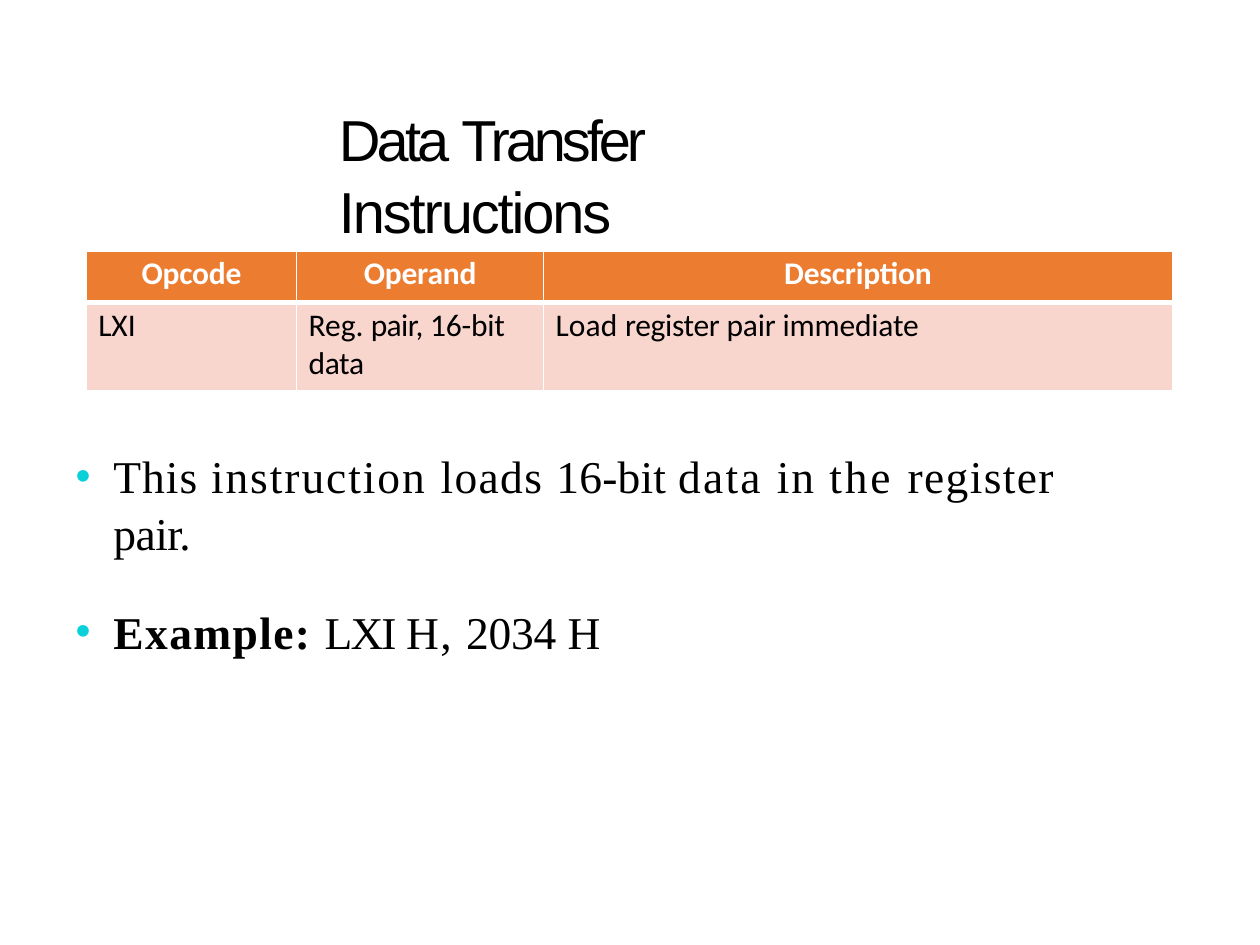
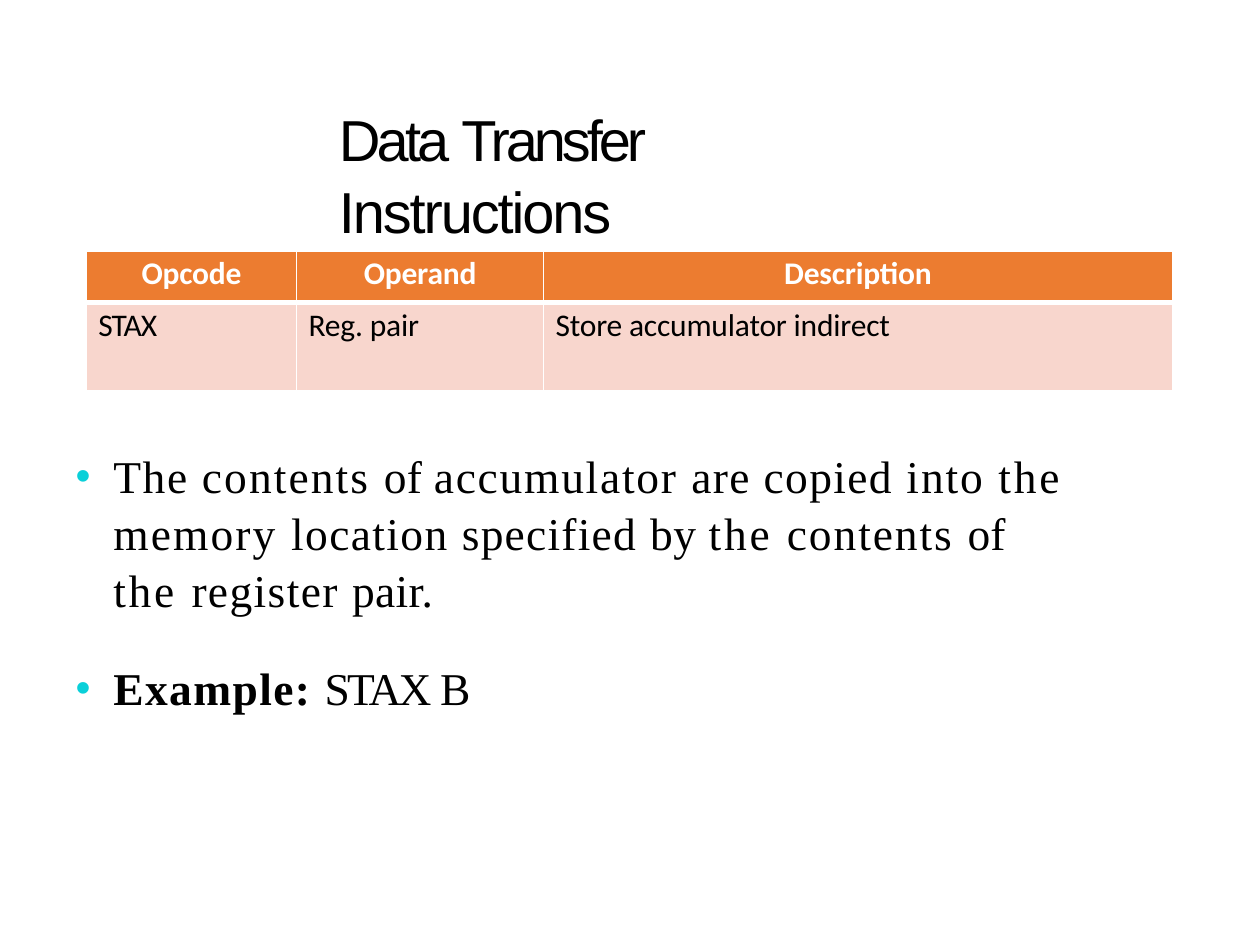
from dataclasses import dataclass
from typing import NamedTuple

from lxml.etree import SubElement as Sub
from pptx import Presentation
from pptx.dml.color import RGBColor as RGB
from pptx.enum.text import PP_ALIGN as Align
from pptx.oxml.ns import qn
from pptx.util import Inches, Pt

WIDTH, HEIGHT = Inches(10), Inches(7.5)
GRID_COLS, GRID_ROWS = 100, 75


def cols(n: float) -> int:
    return round(WIDTH * n / GRID_COLS)


def rows(n: float) -> int:
    return round(HEIGHT * n / GRID_ROWS)


class Style(NamedTuple):
    font: str
    size: float
    color: str
    bold: bool = False
    leading: float = 1.0


@dataclass(frozen=True)
class Theme:
    header_fill: str = "EC7C30"
    row_fill: str = "F8D6CD"
    border: str = "FFFFFF"
    bullet: str = "0AD0D9"
    thin: float = 1
    thick: float = 3
    title: Style = Style("Arial", 33, "000000", leading=1.04)
    header: Style = Style("Calibri", 18, "FFFFFF", bold=True)
    cell: Style = Style("Calibri", 18, "000000")
    body: Style = Style("Times New Roman", 26, "000000", leading=1.04)


THEME = Theme()


class Run(NamedTuple):
    text: str
    spacing: float = 0
    bold: bool = False


Para = list[Run]


class Box(NamedTuple):
    """Left, top, width and height in grid columns and rows."""
    x: float
    y: float
    w: float
    h: float


@dataclass(frozen=True)
class Instruction:
    cells: list[list[Para]]
    bullets: list[Para]
    bullet_box: Box


TITLE_BOX = Box(26.8, 7.8, 46.5, 5.8)
TITLE = [Run("Data ", -2.2), Run("Transfer ", -2.3), Run("Instructions", -1.2)]
TABLE_BOX = Box(6.85, 19.9, 86.2, 11.1)
COLUMN_WIDTHS = (16.7, 19.6, 49.9)
ROW_HEIGHTS = (4.1, 7)
HEADINGS = ("Opcode", "Operand", "Description")

INSTRUCTIONS = [
    Instruction(
        cells=[
            [[Run("LXI")]],
            [[Run("Reg. "), Run("pair, ", -0.3), Run("16-bit", -0.1)],
             [Run("data", -0.2)]],
            [[Run("Load ", 0.1), Run("register ", -0.2),
              Run("pair immediate", -0.1)]],
        ],
        bullets=[
            [Run("This ", 0.6), Run("instruction ", 1.1), Run("loads ", 0.8),
             Run("16-bit ", 0.1), Run("data ", 1.3), Run("in ", 1.1),
             Run("the ", 1.6), Run("register ", 0.8), Run("pair.", -0.3)],
            [Run("Example: ", 0.8, bold=True), Run("LXI ", -1.1),
             Run("H, ", 0.8), Run("2034 ", -0.1), Run("H", 1.7)],
        ],
        bullet_box=Box(5.9, 35.3, 84.1, 12.3),
    ),
    Instruction(
        cells=[
            [[Run("STAX", -0.5)]],
            [[Run("Reg. pair", -0.1)]],
            [[Run("Store accumulator indirect", -0.1)]],
        ],
        bullets=[
            [Run("The ", 0.9), Run("contents ", 1.2), Run("of ", 0.1),
             Run("accumulator ", 1), Run("are copied ", 0.8),
             Run("into ", 1.1), Run("the ", 1.6), Run("memory ", 1.2),
             Run("location ", 0.8), Run("specified ", 0.7), Run("by ", 0.3),
             Run("the ", 1.6), Run("contents ", 1.1), Run("of ", 0.1),
             Run("the ", 1.6), Run("register ", 0.8), Run("pair.", 0.2)],
            [Run("Example: ", 0.8, bold=True), Run("STAX ", -1.6),
             Run("B", -1.9)],
        ],
        bullet_box=Box(5.9, 35.3, 78.7, 20.9),
    ),
]


def add_bullet(p) -> None:
    pPr = p._p.get_or_add_pPr()
    Sub(Sub(pPr, qn("a:buClr")), qn("a:srgbClr"), val=THEME.bullet)
    Sub(pPr, qn("a:buSzPct"), val="94000")
    Sub(pPr, qn("a:buFont"), typeface="Arial")
    Sub(pPr, qn("a:buChar"), char="•")


def write(tf, paras: list[Para], style: Style, *, align=Align.LEFT,
          indent: float = 0, hang: float = 0, gap: float = 0,
          bullet: bool = False) -> None:
    """Fill a text frame; indent and hang are in grid columns, gap in points."""
    for i, runs in enumerate(paras):
        p = tf.add_paragraph() if i else tf.paragraphs[0]
        pPr = p._p.get_or_add_pPr()
        pPr.set("marL", str(cols(indent)))
        pPr.set("indent", str(-cols(hang)))
        if bullet:
            add_bullet(p)
        p.alignment = align
        p.line_spacing = style.leading
        if i:
            p.space_before = Pt(gap)
        for run in runs:
            r = p.add_run()
            r.text = run.text
            r.font.name, r.font.size = style.font, Pt(style.size)
            r.font.bold = style.bold or run.bold
            r.font.color.rgb = RGB.from_string(style.color)
            r._r.get_or_add_rPr().set("spc", str(round(run.spacing * 100)))


def set_insets(target, top: float) -> None:
    target.margin_left = target.margin_right = target.margin_bottom = 0
    target.margin_top = rows(top)


def add_text(slide, box: Box, paras: list[Para], style: Style, *,
             top: float, **layout) -> None:
    sp = slide.shapes.add_textbox(cols(box.x), rows(box.y),
                                  cols(box.w), rows(box.h))
    tf = sp.text_frame
    tf.word_wrap = True
    set_insets(tf, top)
    write(tf, paras, style, **layout)


def set_borders(cell, **widths: float) -> None:
    """Draw the left, right, top and bottom edges, widths in points."""
    tcPr = cell._tc.get_or_add_tcPr()
    for i, side in enumerate("LRTB"):
        ln = tcPr.makeelement(qn(f"a:ln{side}"),
                              {"w": str(Pt(widths.get(side, THEME.thin)))})
        Sub(Sub(ln, qn("a:solidFill")), qn("a:srgbClr"), val=THEME.border)
        tcPr.insert(i, ln)


def add_cell(cell, paras: list[Para], style: Style, fill: str,
             thick_side: str, **layout) -> None:
    set_insets(cell, 0.3)
    write(cell.text_frame, paras, style, **layout)
    cell.fill.solid()
    cell.fill.fore_color.rgb = RGB.from_string(fill)
    set_borders(cell, **{thick_side: THEME.thick})


def add_opcode_table(slide, cells: list[list[Para]]) -> None:
    box = TABLE_BOX
    table = slide.shapes.add_table(
        len(ROW_HEIGHTS), len(COLUMN_WIDTHS), cols(box.x), rows(box.y),
        cols(box.w), rows(box.h)).table
    for row, height in zip(table.rows, ROW_HEIGHTS):
        row.height = rows(height)
    for c, (width, heading, paras) in enumerate(
            zip(COLUMN_WIDTHS, HEADINGS, cells)):
        table.columns[c].width = cols(width)
        add_cell(table.cell(0, c), [[Run(heading, -0.1)]], THEME.header,
                 THEME.header_fill, "B", align=Align.CENTER)
        add_cell(table.cell(1, c), paras, THEME.cell,
                 THEME.row_fill, "T", indent=0.95)


def add_instruction_slide(prs, item: Instruction) -> None:
    slide = prs.slides.add_slide(prs.slide_layouts[6])
    add_text(slide, TITLE_BOX, [TITLE], THEME.title, top=0.2, indent=0.1)
    add_opcode_table(slide, item.cells)
    add_text(slide, item.bullet_box, item.bullets, THEME.body, top=0.1,
             indent=3.1, hang=3, gap=24, bullet=True)


def main() -> None:
    prs = Presentation()
    prs.slide_width, prs.slide_height = WIDTH, HEIGHT
    for item in INSTRUCTIONS:
        add_instruction_slide(prs, item)
    prs.save("out.pptx")


if __name__ == "__main__":
    main()
